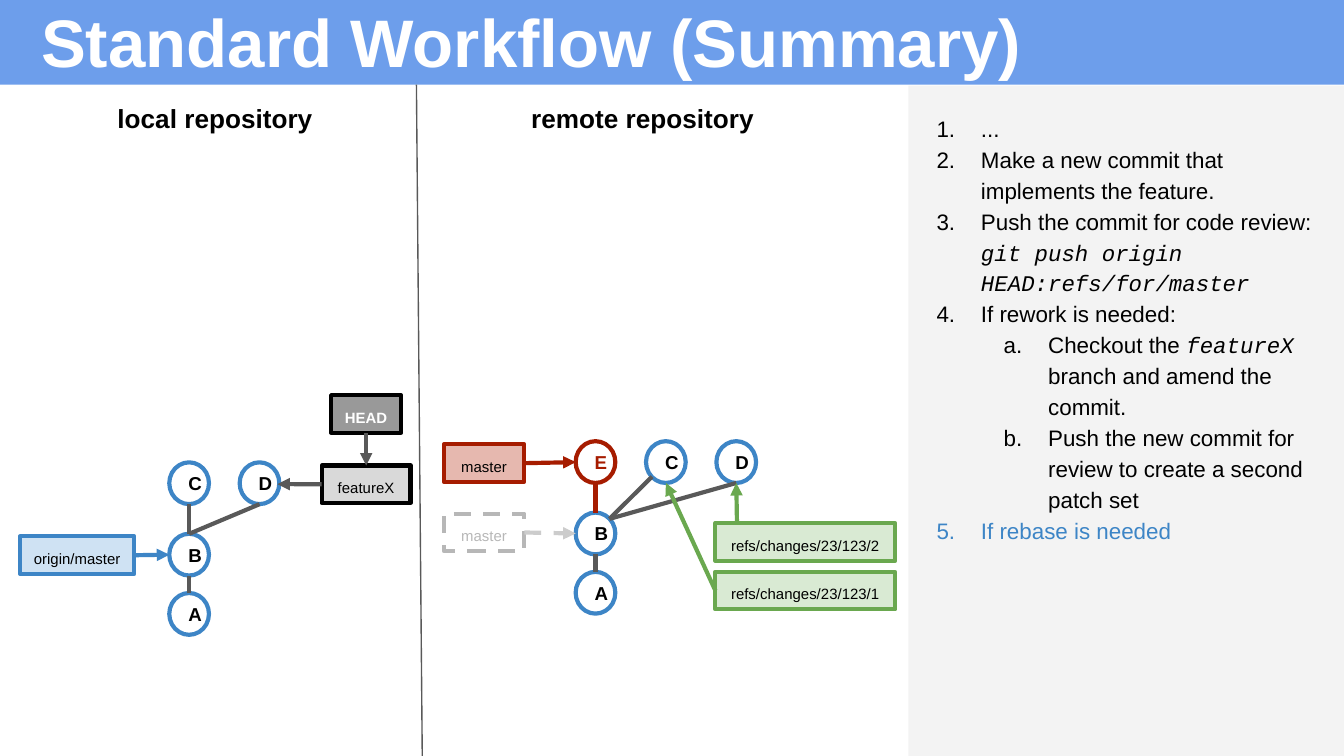
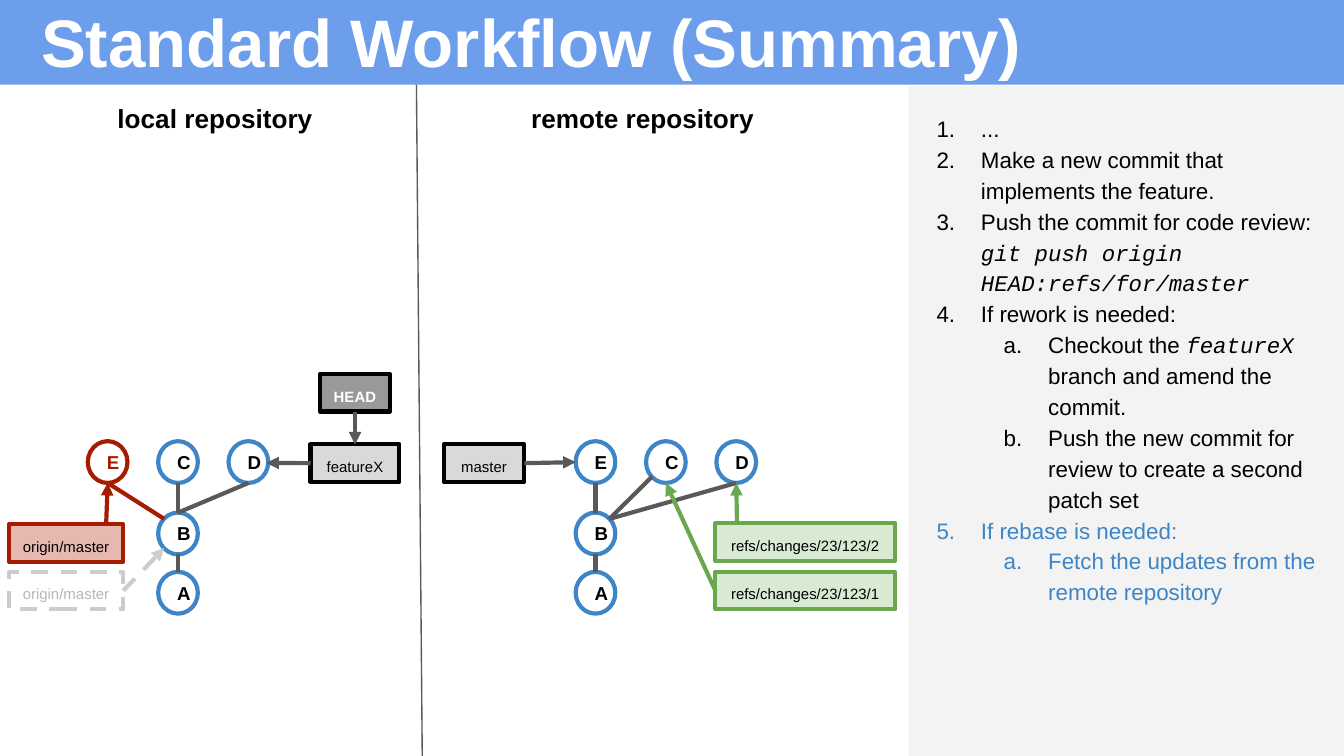
"""Builds two slides on a review workflow with commit graphs."""
from dataclasses import dataclass
from typing import NamedTuple, Optional

from lxml.etree import SubElement as Sub
from pptx import Presentation
from pptx.dml.color import RGBColor as RGB
from pptx.enum.dml import MSO_LINE as Dash
from pptx.enum.shapes import MSO_CONNECTOR as Conn, MSO_SHAPE as Form
from pptx.enum.text import MSO_ANCHOR as Anchor, PP_ALIGN as Align
from pptx.oxml.ns import qn
from pptx.util import Cm, Pt


class Tone(NamedTuple):
    """Colours of a commit or a label and of its arrow."""
    line: str
    fill: Optional[str] = None
    text: str = "000000"
    arrow: str = "595959"
    bold: bool = False
    dash: bool = False


@dataclass(frozen=True)
class Theme:
    """Colours, fonts and type sizes of the deck."""
    sans: str = "Arial"
    mono: str = "Courier New"
    band: str = "6D9EEB"
    side: str = "F3F3F3"
    white: str = "FFFFFF"
    ink: str = "000000"
    edge: str = "595959"
    blue: str = "3D85C6"
    title: int = 36
    head: int = 14
    body: int = 12
    node: int = 10
    tag: int = 8
    thick: float = 2.25
    thin: float = 0.75
    plain: Tone = Tone("3D85C6", bold=True)
    fresh: Tone = Tone("A61C00", text="A61C00", arrow="A61C00", bold=True)
    moved: Tone = Tone("A61C00", "E6B8AF", arrow="A61C00")
    track: Tone = Tone("3D85C6", "CFE2F3", arrow="3D85C6")
    ref: Tone = Tone("6AA84F", "D9EAD3", arrow="6AA84F")
    branch: Tone = Tone("000000", "D9D9D9")
    tip: Tone = Tone("000000", "999999", "FFFFFF", bold=True)
    ghost: Tone = Tone("B7B7B7", text="B7B7B7", arrow="CCCCCC", dash=True)
    pale: Tone = Tone("CCCCCC", text="B7B7B7", arrow="CCCCCC", dash=True)


T = Theme()


class Box(NamedTuple):
    """A rectangle in centimetres."""
    x: float
    y: float
    w: float
    h: float

    def sub(self, x, y, w, h):
        """Return a box placed relative to this one."""
        return Box(self.x + x, self.y + y, w, h)

    def port(self, at):
        """Return the point at the given fractions of the box."""
        return self.x + at[0] * self.w, self.y + at[1] * self.h

    def size(self):
        """Return the four lengths for a shape."""
        return [Cm(v) for v in self]


TOP, FOOT, LEFT, RIGHT = (0.5, 0), (0.5, 1), (0, 0.5), (1, 0.5)
NW, NE, SW = (0.15, 0.15), (0.85, 0.15), (0.15, 0.85)
PAGE = Box(0, 0, 25.4, 14.29)
BAND = Box(0, 0, 25.4, 1.6)
LOCAL = Box(0, 1.6, 7.9, 12.69)
REMOTE = Box(7.9, 1.6, 9.27, 12.69)
SIDE = Box(17.17, 1.62, 8.23, 12.67)
COL, ROWS = 1.33, (0, 1.35, 2.47)
NODE_W, NODE_H, TAG_H = 0.75, 0.79, 0.71


def style(font, size, color, bold=False):
    """Set a font in the sans face."""
    font.name, font.size, font.bold = T.sans, Pt(size), bold
    font.color.rgb = RGB.from_string(color)


def frame(shape, anchor=Anchor.TOP):
    """Prepare the text frame of a shape and return it."""
    area = shape.text_frame
    area.word_wrap, area.vertical_anchor = True, anchor
    area.margin_left = area.margin_right = Cm(0.25)
    area.margin_top = area.margin_bottom = Cm(0.25)
    return area


def write(shape, text, size, color, bold, align=Align.CENTER, anchor=Anchor.TOP):
    """Put one styled paragraph in a shape."""
    para = frame(shape, anchor).paragraphs[0]
    para.text, para.alignment = text, align
    style(para.font, size, color, bold)


def form(slide, box, kind=Form.RECTANGLE, fill=None, line=None, dash=False):
    """Draw a preset shape."""
    shape = slide.shapes.add_shape(kind, *box.size())
    shape.shadow.inherit = False
    if fill:
        shape.fill.solid()
        shape.fill.fore_color.rgb = RGB.from_string(fill)
    else:
        shape.fill.background()
    if line:
        stroke(shape.line, line, T.thick, dash)
    else:
        shape.line.fill.background()
    return shape


def stroke(line, color, width, dash=False):
    """Set the colour, width and dash of a line."""
    line.color.rgb = RGB.from_string(color)
    line.width = Pt(width)
    if dash:
        line.dash_style = Dash.DASH


def link(slide, start, end, color=T.edge, width=T.thick, dash=False, arrow=False):
    """Draw a straight line between two points."""
    wire = slide.shapes.add_connector(Conn.STRAIGHT, *map(Cm, start + end))
    stroke(wire.line, color, width, dash)
    if arrow:
        Sub(wire.line._ln, qn("a:tailEnd"), type="triangle")
    Sub(wire._element.spPr, qn("a:effectLst"))


def point(slide, start, end, tone):
    """Draw the arrow of a label."""
    link(slide, start, end, tone.arrow, dash=tone.dash, arrow=True)


def tag(slide, box, text, tone):
    """Draw a label and return its box."""
    shape = form(slide, box, fill=tone.fill, line=tone.line, dash=tone.dash)
    write(shape, text, T.tag, tone.text, tone.bold)
    return box


def tree(slide, root, cols, hot):
    """Draw the commits on their grid and return their boxes."""
    spots = {name: (col, 0) for name, col in cols.items()}
    spots.update(B=(0, 1), A=(0, 2))
    nodes = {}
    for name, (col, row) in spots.items():
        tone = T.fresh if name == hot else T.plain
        box = root.sub(col * COL, ROWS[row], NODE_W, NODE_H)
        shape = form(slide, box, Form.OVAL, line=tone.line)
        write(shape, name, T.node, tone.text, True, anchor=Anchor.MIDDLE)
        nodes[name] = box
    link(slide, nodes["A"].port(TOP), nodes["B"].port(FOOT))
    return nodes


def head(slide, box):
    """Draw the title band."""
    form(slide, box, fill=T.band)
    label = slide.shapes.add_textbox(*box.sub(0.53, -0.25, 22.71, 2.11).size())
    write(label, "Standard Workflow (Summary)", T.title, T.white, True, Align.LEFT)


def panel(slide, box, text, inset):
    """Write the heading of a repository."""
    label = slide.shapes.add_textbox(*box.sub(inset, 0.08, 5.23, 1.27).size())
    write(label, text, T.head, T.ink, True)


def local(slide, box, root, fetched):
    """Draw the local repository."""
    panel(slide, box, "local repository", 1.45)
    root = box.sub(*root, 0, 0)
    cols = {"C": 0, "D": 1}
    if fetched:
        cols["E"] = -1
    nodes = tree(slide, root, cols, "E")
    base = nodes["B"]
    for name in "CD":
        link(slide, nodes[name].port(FOOT), base.port(TOP))
    topic = tag(slide, root.sub(2.88, 0.06, 1.68, TAG_H), "featureX", T.branch)
    point(slide, topic.port(LEFT), nodes["D"].port((0.95, 0.52)), T.branch)
    tip = tag(slide, root.sub(3.06, -1.27, 1.32, TAG_H), "HEAD", T.tip)
    point(slide, tip.port(FOOT), topic.port(TOP), T.tip)
    place = root.sub(-2.82, 1.57 if fetched else 1.4, 2.16, TAG_H)
    tone = T.moved if fetched else T.track
    tag(slide, place, "origin/master", tone)
    if not fetched:
        point(slide, place.port(RIGHT), base.port(LEFT), tone)
        return
    link(slide, nodes["E"].port(FOOT), base.port(NW), T.fresh.line)
    point(slide, place.port((0.85, 0)), nodes["E"].port(FOOT), tone)
    old = tag(slide, root.sub(-2.82, 2.47, 2.16, TAG_H), "origin/master", T.pale)
    point(slide, old.port(RIGHT), base.port(SW), T.pale)


def remote(slide, box, fetched):
    """Draw the remote repository."""
    panel(slide, box, "remote repository", 1.63)
    root = box.sub(2.98, 6.74, 0, 0)
    nodes = tree(slide, root, {"E": 0, "C": 1, "D": 2}, None if fetched else "E")
    base = nodes["B"]
    link(slide, nodes["E"].port(FOOT), base.port(TOP), T.edge if fetched else T.fresh.line)
    link(slide, nodes["C"].port(SW), base.port(NE))
    link(slide, nodes["D"].port(FOOT), base.port(NE))
    marks = [(0.06, "E", T.branch if fetched else T.moved)]
    if not fetched:
        marks.append((1.37, "B", T.ghost))
    for top, name, tone in marks:
        mark = tag(slide, root.sub(-2.49, top, 1.52, TAG_H), "master", tone)
        point(slide, mark.port(RIGHT), nodes[name].port(LEFT), tone)
    for num, top, name, side in ((2, 1.55, "D", (0.12, 0)), (1, 2.47, "C", LEFT)):
        place = root.sub(2.64, top, 3.4, TAG_H)
        mark = tag(slide, place, f"refs/changes/23/123/{num}", T.ref)
        point(slide, mark.port(side), nodes[name].port(FOOT), T.ref)


def step(para, level, parts, color):
    """Write a numbered step, with code in the parts of odd rank."""
    props = para._p.get_or_add_pPr()
    props.set("marL", str(Cm(1.27 * (level + 1))))
    props.set("indent", str(Cm(-0.84)))
    para.level, para.line_spacing = level, 1.15
    Sub(Sub(props, qn("a:buClr")), qn("a:srgbClr"), val=color)
    kind = ("arabicPeriod", "alphaLcPeriod")[level]
    Sub(props, qn("a:buAutoNum"), type=kind)
    style(para.font, T.body, color)
    for rank, part in enumerate(parts):
        run = para.add_run()
        run.text = part.rstrip("\n")
        if rank % 2:
            run.font.name, run.font.italic = T.mono, True
        if part.endswith("\n"):
            para.add_line_break()


def aside(slide, box, steps):
    """Draw the list of steps."""
    form(slide, box, fill=T.side)
    label = slide.shapes.add_textbox(*box.sub(-0.15, 0.23, 8.23, 10.87).size())
    area = frame(label)
    for rank, item in enumerate(steps):
        para = area.add_paragraph() if rank else area.paragraphs[0]
        step(para, *item)
    area.paragraphs[0].space_before = Pt(9)


STEPS = [
    (0, ["..."], T.ink),
    (0, ["Make a new commit that implements the feature."], T.ink),
    (0, ["Push the commit for code review:\n", "git push origin HEAD:refs/for/master"], T.ink),
    (0, ["If rework is needed:"], T.ink),
    (1, ["Checkout the ", "featureX", " branch and amend the commit."], T.ink),
    (1, ["Push the new commit for review to create a second patch set"], T.ink),
]
REBASE = [(0, ["If rebase is needed"], T.blue)]
FETCH = [
    (0, ["If rebase is needed:"], T.blue),
    (1, ["Fetch the updates from the remote repository"], T.blue),
]


def page(deck, last, root, fetched):
    """Add a workflow slide."""
    slide = deck.slides.add_slide(deck.slide_layouts[6])
    head(slide, BAND)
    aside(slide, SIDE, STEPS + last)
    link(slide, (7.87, 1.6), (7.98, PAGE.h), width=T.thin)
    local(slide, LOCAL, root, fetched)
    remote(slide, REMOTE, fetched)


def main():
    """Build and save the deck."""
    deck = Presentation()
    deck.slide_width, deck.slide_height = Cm(PAGE.w), Cm(PAGE.h)
    page(deck, REBASE, (3.2, 7.14), False)
    page(deck, FETCH, (2.99, 6.74), True)
    deck.save("out.pptx")


if __name__ == "__main__":
    main()
